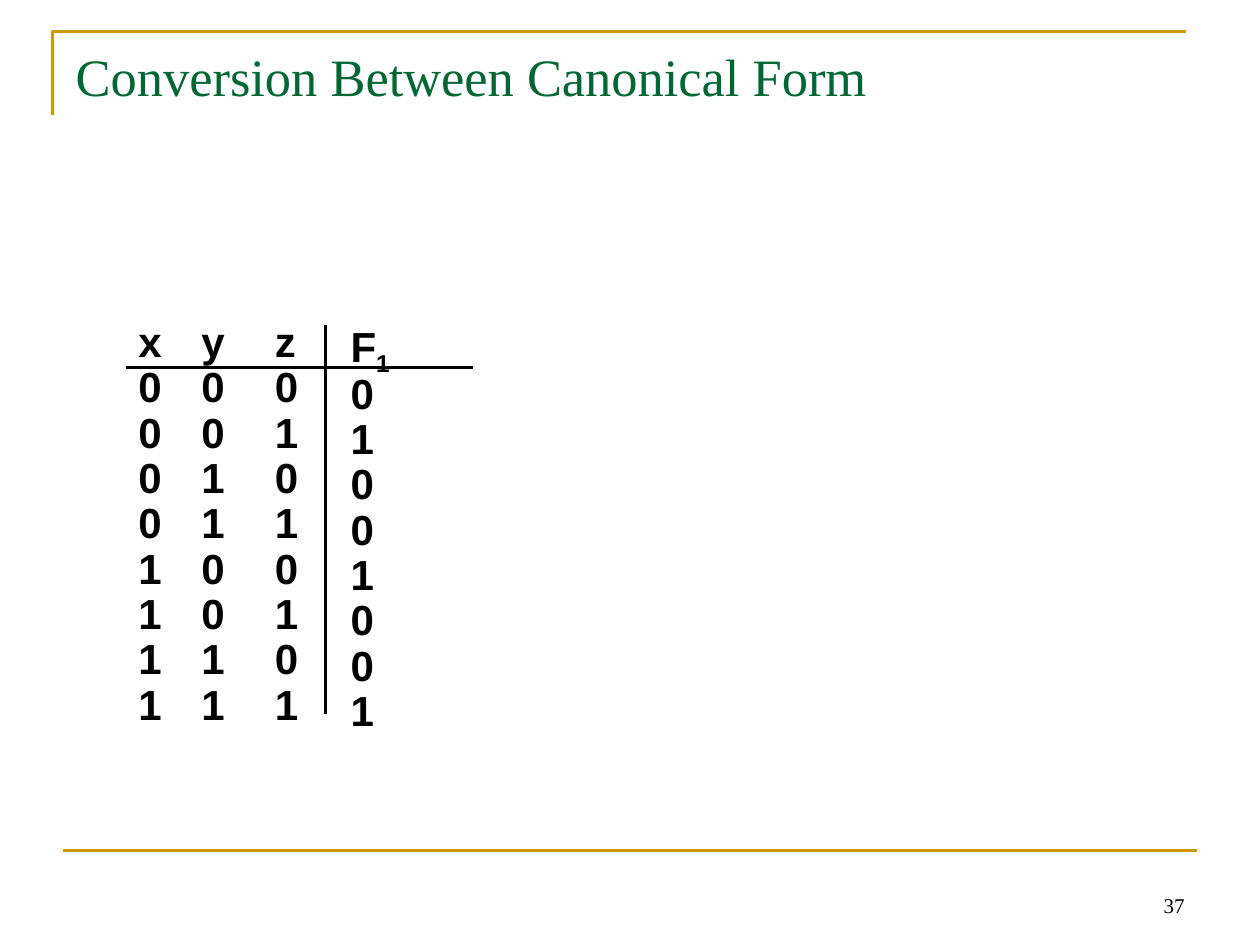
from itertools import product

from lxml.etree import SubElement
from pptx import Presentation
from pptx.dml.color import RGBColor
from pptx.enum.shapes import MSO_CONNECTOR as Connector
from pptx.enum.text import MSO_ANCHOR as Anchor, MSO_AUTO_SIZE as AutoSize, PP_ALIGN as Align
from pptx.oxml.ns import qn
from pptx.util import Inches, Pt

GRID = Inches(1) / 12
GOLD, GREEN, BLACK = "CC9900", "006633", "000000"
SERIF, SANS = "Times New Roman", "Arial"
TABLE_TOP = 30


def units(*lengths):
    return [round(length * GRID) for length in lengths]


def color(hex_code):
    return RGBColor.from_string(hex_code)


def style_font(font, name, size, hex_code, bold=False):
    font.name, font.size, font.bold = name, Pt(size), bold
    font.color.rgb = color(hex_code)


def style_line(line, hex_code, width):
    line.color.rgb = color(hex_code)
    line.width = Pt(width)


def add_rule(slide, start, end, hex_code, width):
    rule = slide.shapes.add_connector(Connector.STRAIGHT, *units(*start, *end))
    style_line(rule.line, hex_code, width)
    SubElement(rule._element.spPr, qn("a:effectLst"))


def add_corner(slide):
    builder = slide.shapes.build_freeform(*units(5, 11))
    builder.add_line_segments([units(5, 3), units(113, 3)], close=False)
    corner = builder.convert_to_shape()
    corner.fill.background()
    corner.shadow.inherit = False
    style_line(corner.line, GOLD, 1.5)


def add_title(slide, words):
    title = slide.shapes.title
    title.left, title.top, title.width, title.height = units(6, 3.6, 108, 15)
    frame = title.text_frame
    frame.text = words
    frame.vertical_anchor = Anchor.TOP
    frame.auto_size = AutoSize.NONE
    heading = frame.paragraphs[0]
    heading.alignment = Align.LEFT
    style_font(heading.runs[0].font, SERIF, 30, GREEN)


def add_page_number(slide, number):
    frame = slide.shapes.add_textbox(*units(86, 82, 28, 6)).text_frame
    frame.text = number
    frame.word_wrap = True
    frame.vertical_anchor = Anchor.BOTTOM
    frame.paragraphs[0].alignment = Align.RIGHT
    style_font(frame.paragraphs[0].runs[0].font, SERIF, 12, BLACK)


def add_column(slide, left, width, heading, values, subscript=""):
    frame = slide.shapes.add_textbox(*units(left, TABLE_TOP, width, 40)).text_frame
    frame.text = "\n".join([heading, *map(str, values)])
    frame.word_wrap = False
    frame.auto_size = AutoSize.SHAPE_TO_FIT_TEXT
    if subscript:
        index = frame.paragraphs[0].add_run()
        index.text = subscript
        index._r.get_or_add_rPr().set("baseline", "-25000")
    for entry in frame.paragraphs:
        entry.line_spacing = 0.9
        for run in entry.runs:
            style_font(run.font, SANS, 24, BLACK, bold=True)


def add_truth_table(slide):
    inputs = zip(*product((0, 1), repeat=3))
    for heading, left, values in zip("xyz", (12, 18, 25), inputs):
        add_column(slide, left, 4.7, heading, values)
    add_rule(slide, (31, 31), (31, 68), BLACK, 2)
    add_column(slide, 32.2, 6.1, "F", (0, 1, 0, 0, 1, 0, 0, 1), subscript="1")
    add_rule(slide, (12, 35), (45, 35), BLACK, 2)


def main():
    deck = Presentation()
    deck.slide_width, deck.slide_height = units(120, 90)
    slide = deck.slides.add_slide(deck.slide_layouts[5])
    add_corner(slide)
    add_rule(slide, (6, 81), (114, 81), GOLD, 1.5)
    add_title(slide, "Conversion Between Canonical Form")
    add_page_number(slide, "37")
    add_truth_table(slide)
    deck.save("out.pptx")


if __name__ == "__main__":
    main()
